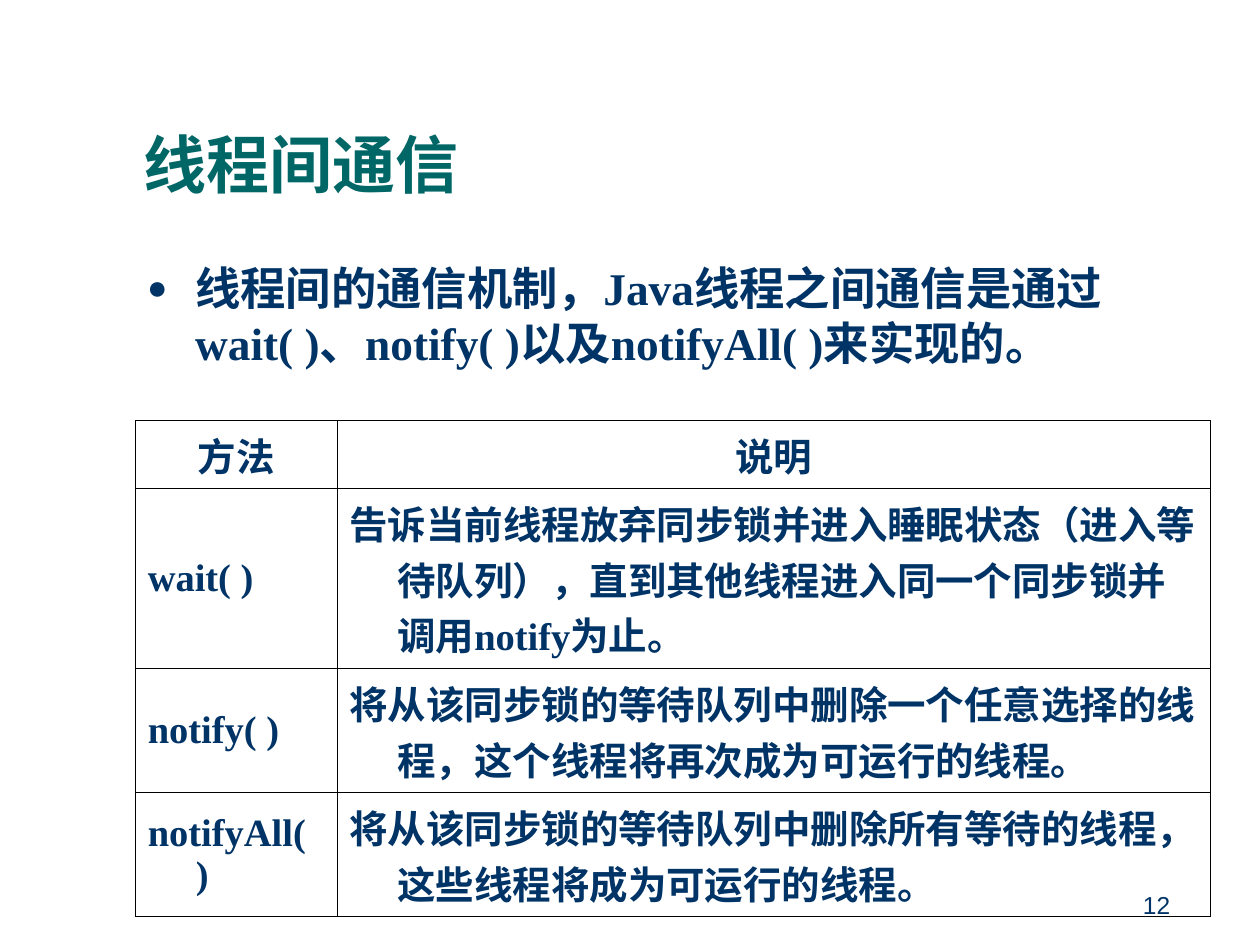
from dataclasses import dataclass, field

from lxml.etree import SubElement
from pptx import Presentation
from pptx.dml.color import RGBColor
from pptx.enum.text import MSO_ANCHOR, PP_ALIGN
from pptx.oxml import parse_xml
from pptx.oxml.ns import nsdecls, qn
from pptx.util import Pt

COLORS = {"navy": "003366", "teal": "006666", "border": "000000"}
SERIF = "Times New Roman"
HANGING = 27.4
BORDER_WIDTH = 0.45


@dataclass
class TextStyle:
    color: str = "navy"
    font: dict = field(default_factory=dict)
    paragraph: dict = field(default_factory=dict)
    hanging: float = 0


@dataclass
class TextBlock:
    text: str
    left: float
    top: float
    width: float
    height: float
    style: TextStyle
    anchor: MSO_ANCHOR = MSO_ANCHOR.TOP


def serif(size: float) -> dict:
    return {"name": SERIF, "size": Pt(size), "bold": True}


TITLE = TextStyle("teal", serif(36), {"line_spacing": 0.9})
BODY = TextStyle("navy", serif(25.9), {"space_before": Pt(7)}, HANGING)
NUMBER = TextStyle("navy", {"name": "Arial", "size": Pt(14)},
                   {"alignment": PP_ALIGN.CENTER})
HEADER = TextStyle("navy", serif(22), {"alignment": PP_ALIGN.CENTER}, HANGING)
ENTRY = TextStyle("navy", serif(22), {"alignment": PP_ALIGN.LEFT}, HANGING)

PAGE_NUMBER = TextBlock("12", 637.9, 491.8, 46.1, 37.4, NUMBER, MSO_ANCHOR.BOTTOM)
HEADING = TextBlock("线程间通信", 74.9, 64.1, 605.5, 54.7, TITLE, MSO_ANCHOR.BOTTOM)
SUMMARY = TextBlock(
    "线程间的通信机制，Java线程之间通信是通过wait( )、notify( )以及notifyAll( )来实现的。",
    77, 145.4, 605.5, 73.4, BODY)

METHODS = [
    ("方法", "说明"),
    ("wait( )", "告诉当前线程放弃同步锁并进入睡眠状态（进入等待队列），"
                "直到其他线程进入同一个同步锁并调用notify为止。"),
    ("notify( )", "将从该同步锁的等待队列中删除一个任意选择的线程，"
                  "这个线程将再次成为可运行的线程。"),
    ("notifyAll( )", "将从该同步锁的等待队列中删除所有等待的线程，"
                     "这些线程将成为可运行的线程。"),
]
COLUMN_WIDTHS = [115.2, 499]
ROW_HEIGHTS = [38.9, 102.9, 70.9, 70.9]


def write_text(frame, text: str, style: TextStyle):
    paragraph = frame.paragraphs[0]
    run = paragraph.add_run()
    run.text = text
    for target, values in ((run.font, style.font), (paragraph, style.paragraph)):
        for name, value in values.items():
            setattr(target, name, value)
    run.font.color.rgb = RGBColor.from_string(COLORS[style.color])
    if style.hanging:
        properties = paragraph._p.get_or_add_pPr()
        properties.set("marL", str(Pt(style.hanging)))
        properties.set("indent", str(-Pt(style.hanging)))
    return paragraph


def add_text(slide, block: TextBlock):
    box = slide.shapes.add_textbox(Pt(block.left), Pt(block.top),
                                   Pt(block.width), Pt(block.height))
    box.text_frame.word_wrap = True
    box.text_frame.vertical_anchor = block.anchor
    return write_text(box.text_frame, block.text, block.style)


def add_bullet(paragraph) -> None:
    properties = paragraph._p.get_or_add_pPr()
    color = SubElement(properties, qn("a:buClr"))
    SubElement(color, qn("a:srgbClr"), val=COLORS["navy"])
    SubElement(properties, qn("a:buSzPct"), val="75000")
    SubElement(properties, qn("a:buFont"), typeface=SERIF)
    SubElement(properties, qn("a:buChar"), char="●")


def add_borders(cell) -> None:
    properties = cell._tc.get_or_add_tcPr()
    for position, side in enumerate(("lnL", "lnR", "lnT", "lnB")):
        properties.insert(position, parse_xml(
            f'<a:{side} {nsdecls("a")} w="{Pt(BORDER_WIDTH)}"><a:solidFill>'
            f'<a:srgbClr val="{COLORS["border"]}"/></a:solidFill></a:{side}>'))


def add_method_table(slide, left: float, top: float) -> None:
    table = slide.shapes.add_table(
        len(METHODS), len(COLUMN_WIDTHS), Pt(left), Pt(top),
        Pt(sum(COLUMN_WIDTHS)), Pt(sum(ROW_HEIGHTS))).table
    table.first_row = table.horz_banding = False
    for column, width in zip(table.columns, COLUMN_WIDTHS):
        column.width = Pt(width)
    for index, (row, height, texts) in enumerate(
            zip(table.rows, ROW_HEIGHTS, METHODS)):
        row.height = Pt(height)
        for cell, text in zip(row.cells, texts):
            cell.fill.background()
            cell.vertical_anchor = MSO_ANCHOR.MIDDLE if index else MSO_ANCHOR.TOP
            write_text(cell.text_frame, text, ENTRY if index else HEADER)
            add_borders(cell)


def main() -> None:
    deck = Presentation()
    deck.slide_width, deck.slide_height = Pt(720), Pt(540)
    slide = deck.slides.add_slide(deck.slide_layouts[6])

    # Page number, heading and bulleted summary
    add_text(slide, PAGE_NUMBER)
    add_text(slide, HEADING)
    add_bullet(add_text(slide, SUMMARY))

    # Methods and their descriptions
    add_method_table(slide, 77.3, 240.3)

    deck.save("out.pptx")


if __name__ == "__main__":
    main()
